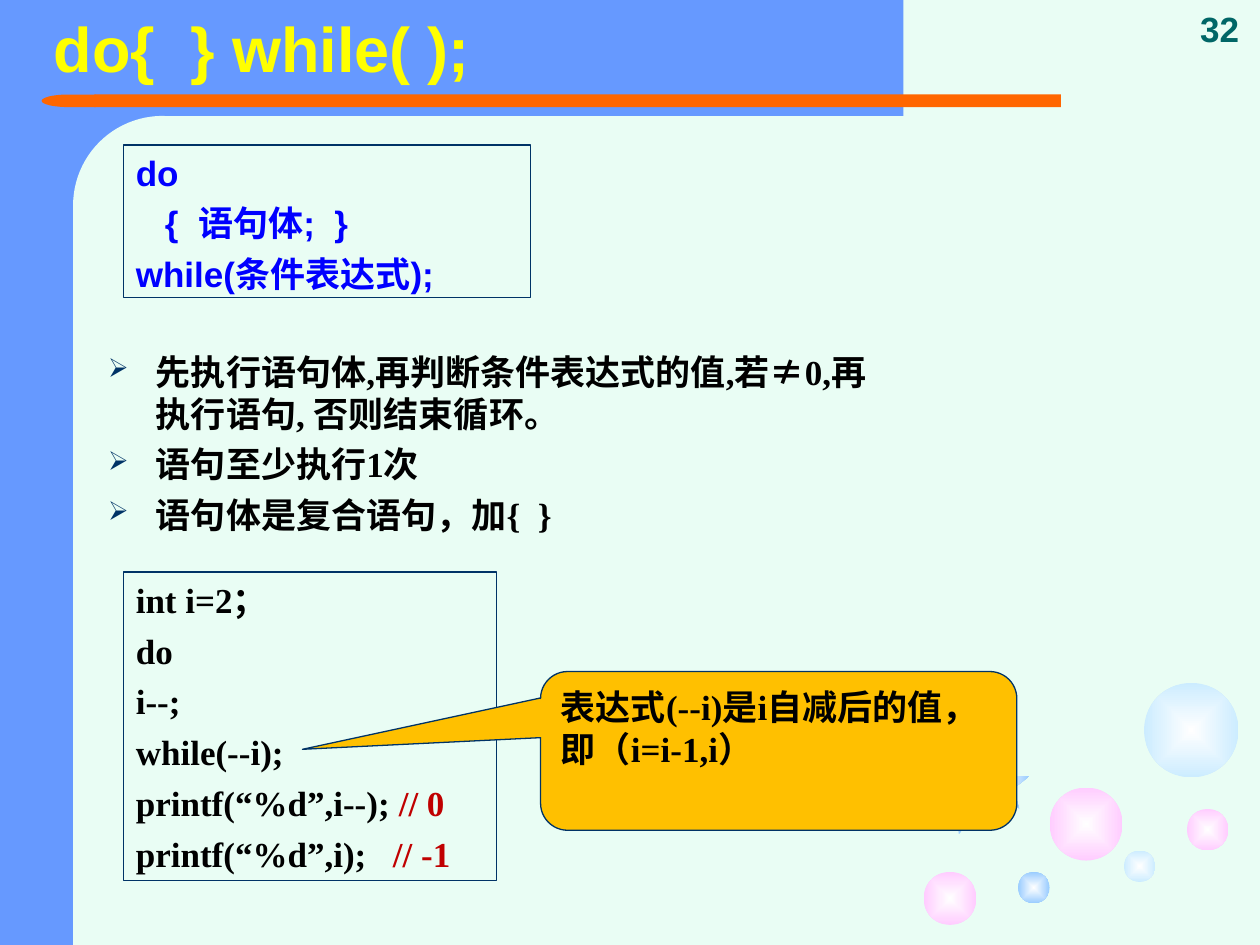
from lxml.etree import SubElement
from pptx import Presentation
from pptx.dml.color import RGBColor
from pptx.enum.shapes import MSO_SHAPE
from pptx.enum.text import MSO_ANCHOR, PP_ALIGN
from pptx.oxml.ns import qn
from pptx.util import Inches, Pt

COLORS = {
    "mint": "E9FDF4", "blue": "6699FF", "orange": "FF6600", "yellow": "FFFF00",
    "teal": "006666", "navy": "003366", "code": "0000FF", "black": "000000",
    "red": "C00000", "amber": "FFC000", "white": "FFFFFF", "pink": "FFCCFF",
    "pale": "CCECFF", "sky": "99CCFF",
}
TITLE = {"name": "Arial", "size": Pt(36), "bold": True, "color": "yellow"}
NUMBER = {"name": "Arial", "size": Pt(20), "bold": True, "color": "teal"}
SYNTAX = {**NUMBER, "color": "code"}
BODY = {"name": "Times New Roman", "size": Pt(20), "bold": True, "color": "black"}

BACKDROP = [
    (MSO_SHAPE.RECTANGLE, (0, 0, 1.25, 7.5), "blue", 0),
    (MSO_SHAPE.RECTANGLE, (0.5, 0, 6.67, 0.92), "blue", 0),
    (MSO_SHAPE.ROUNDED_RECTANGLE, (0.58, 0.92, 1.42, 5.75), "mint", 0),
    (MSO_SHAPE.RECTANGLE, (0.75, 0.75, 7.67, 0.1), "orange", 0),
    (MSO_SHAPE.FLOWCHART_DELAY, (0.33, 0.75, 0.43, 0.1), "orange", 180),
    (MSO_SHAPE.RECTANGLE, (0.58, 5.92, 1.42, 1.58), "mint", 0),
]
BUBBLES = [
    (8.33, 6.25, 0.58, "pink"), (7.33, 6.92, 0.42, "pink"),
    (8.92, 6.75, 0.25, "pale"), (9.42, 6.42, 0.33, "pink"),
    (9.08, 5.42, 0.75, "pale"), (8.08, 6.92, 0.25, "sky"),
]
STARS = [((7.75, 6, 0.42, 0.42), 0), ((7.4, 6.1, 0.54, 0.5), 270)]

SYNTAX_LINES = ["do", "   {  语句体;  }", "while(条件表达式);"]
POINTS = [
    "先执行语句体,再判断条件表达式的值,若≠0,再执行语句, 否则结束循环。",
    "语句至少执行1次",
    "语句体是复合语句，加{  }",
]
EXAMPLE_LINES = [
    "int i=2；", "do", "i--;", "while(--i);",
    ("printf(“%d”,i--); ", "// 0"),
    ("printf(“%d”,i);   ", "// -1"),
]


def rgb(name):
    return RGBColor.from_string(COLORS[name])


def add_shape(page, kind, place, fill=None, line=None):
    shape = page.shapes.add_shape(kind, *map(Inches, place))
    shape.shadow.inherit = False
    if fill:
        shape.fill.solid()
        shape.fill.fore_color.rgb = rgb(fill)
    else:
        shape.fill.background()
    if line:
        shape.line.color.rgb = rgb(line)
        shape.line.width = Pt(0.75)
    else:
        shape.line.fill.background()
    return shape


def add_glow(page, kind, place, color):
    shape = add_shape(page, kind, place)
    shape.fill.gradient()
    for stop, name in zip(shape.fill.gradient_stops, ("white", color)):
        stop.color.rgb = rgb(name)
    gradient = shape._element.spPr.find(qn("a:gradFill"))
    gradient.remove(gradient.find(qn("a:lin")))
    center = SubElement(gradient, qn("a:path"), path="rect")
    SubElement(center, qn("a:fillToRect"), dict.fromkeys("ltrb", "50000"))
    return shape


def add_box(page, place):
    return page.shapes.add_textbox(*map(Inches, place))


def add_bullet(para):
    props = para._p.get_or_add_pPr()
    props.set("marL", str(Inches(0.38)))
    props.set("indent", str(-Inches(0.38)))
    color = SubElement(props, qn("a:buClr"))
    SubElement(color, qn("a:srgbClr"), val=COLORS["navy"])
    SubElement(props, qn("a:buSzPct"), val="75000")
    SubElement(props, qn("a:buChar"), char="➢")


def add_span(para, text, style):
    span = para.add_run()
    span.text = text
    for key, value in style.items():
        if key == "color":
            span.font.color.rgb = rgb(value)
        else:
            setattr(span.font, key, value)


def write(box, lines, style, bullets=False, anchor=MSO_ANCHOR.TOP,
          align=PP_ALIGN.LEFT, spacing=None):
    frame = box.text_frame
    frame.word_wrap = True
    frame.vertical_anchor = anchor
    for index, line in enumerate(lines):
        para = frame.add_paragraph() if index else frame.paragraphs[0]
        if bullets:
            add_bullet(para)
        para.alignment = align
        para.line_spacing = spacing
        if index:
            para.space_before = Pt(5)
        code, *comment = (line,) if isinstance(line, str) else line
        add_span(para, code, style)
        for text in comment:
            add_span(para, text, {**style, "color": "red"})


def draw_backdrop(page):
    page.background.fill.solid()
    page.background.fill.fore_color.rgb = rgb("mint")
    for kind, place, fill, turn in BACKDROP:
        shape = add_shape(page, kind, place, fill)
        shape.rotation = turn
        if kind == MSO_SHAPE.ROUNDED_RECTANGLE:
            shape.adjustments[0] = 0.5
    for left, top, size, color in BUBBLES:
        add_glow(page, MSO_SHAPE.OVAL, (left, top, size, size), color)
    for place, turn in STARS:
        add_glow(page, MSO_SHAPE.STAR_5_POINT, place, "sky").rotation = turn


def main():
    deck = Presentation()
    deck.slide_width, deck.slide_height = Inches(10), Inches(7.5)
    page = deck.slides.add_slide(deck.slide_layouts[6])
    draw_backdrop(page)

    write(add_box(page, (0.33, 0, 8.42, 0.83)), ["do{  } while( );"], TITLE,
          anchor=MSO_ANCHOR.MIDDLE, spacing=0.9)
    write(add_box(page, (9.36, 0, 0.64, 0.44)), ["32"], NUMBER,
          anchor=MSO_ANCHOR.BOTTOM, align=PP_ALIGN.CENTER)

    syntax = add_shape(page, MSO_SHAPE.RECTANGLE, (0.98, 1.15, 3.23, 1.21), line="navy")
    write(syntax, SYNTAX_LINES, SYNTAX)
    write(add_box(page, (0.76, 2.73, 6.46, 1.58)), POINTS, BODY, bullets=True)
    example = add_shape(page, MSO_SHAPE.RECTANGLE, (0.98, 4.54, 2.96, 2.45), line="navy")
    write(example, EXAMPLE_LINES, BODY)

    callout = add_shape(page, MSO_SHAPE.ROUNDED_RECTANGULAR_CALLOUT,
                        (4.29, 5.33, 3.78, 1.26), "amber", "navy")
    for index, value in enumerate((-1, -0.01, 0.17)):
        callout.adjustments[index] = value
    write(callout, ["表达式(--i)是i自减后的值，即（i=i-1,i）"], BODY)

    deck.save("out.pptx")


if __name__ == "__main__":
    main()
